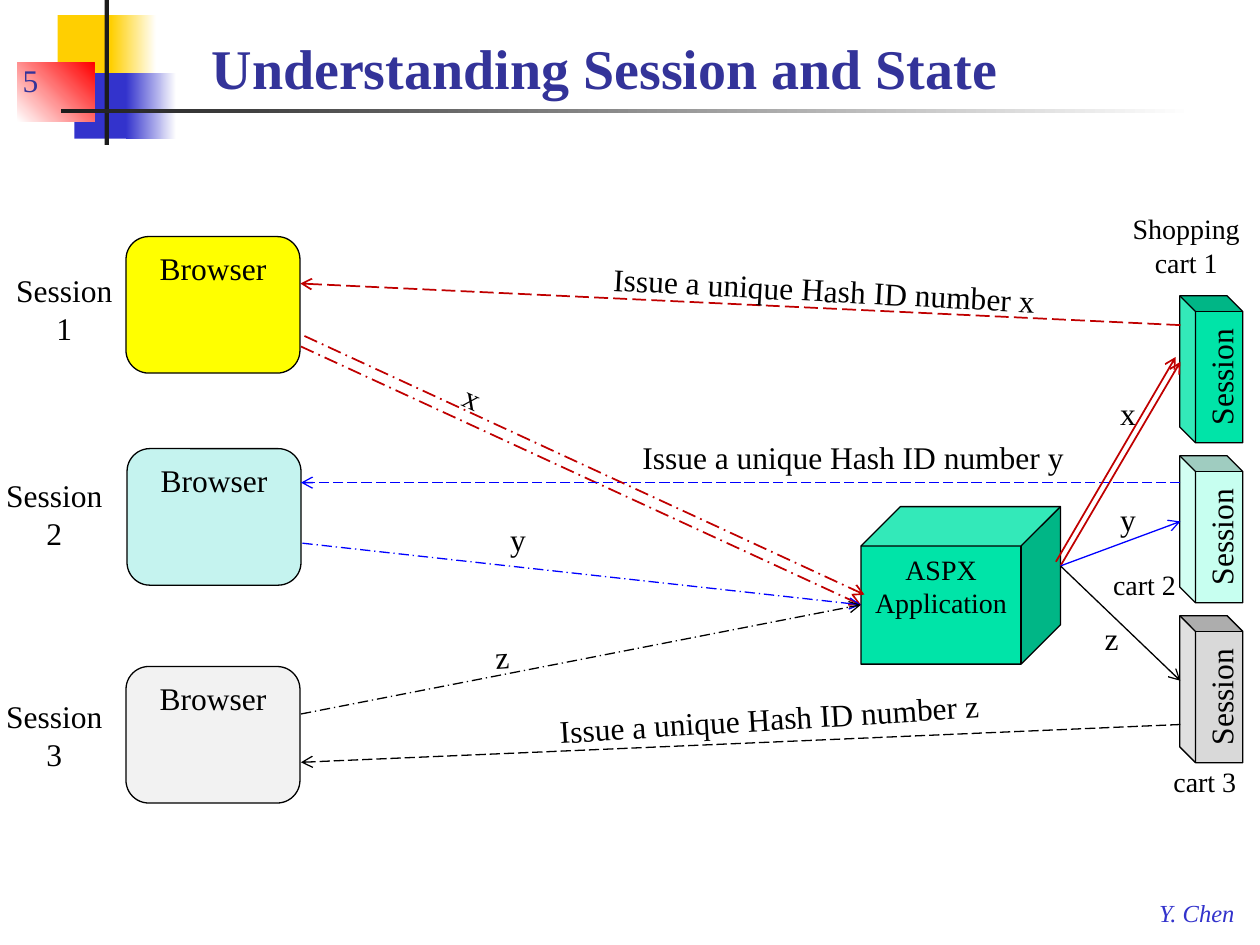
import pptx
import pptx.util
import pptx.dml.color
import pptx.enum.dml
import pptx.enum.shapes
import pptx.enum.text
import pptx.oxml
from pptx.oxml.ns import qn

Pt = pptx.util.Pt
SHAPE = pptx.enum.shapes.MSO_SHAPE
DASH = pptx.enum.dml.MSO_LINE
ALIGN = pptx.enum.text.PP_ALIGN
ANCHOR = pptx.enum.text.MSO_ANCHOR
AUTO = pptx.enum.text.MSO_AUTO_SIZE

FONT = "Times New Roman"
RED, BLUE, BLACK = "C00000", "0000FF", "000000"
WEIGHTS = {RED: 1, BLUE: 0.75, BLACK: 0.75}


def rgb(value):
    """Turn a hex string into a colour."""
    return pptx.dml.color.RGBColor.from_string(value)


def put_text(tf, text, size=18, color=BLACK, bold=False, italic=False,
             align=ALIGN.LEFT, anchor=ANCHOR.TOP, wrap=True, grow=False):
    """Write one formatted paragraph into a text frame."""
    tf.word_wrap = wrap
    tf.vertical_anchor = anchor
    tf.auto_size = AUTO.SHAPE_TO_FIT_TEXT if grow else AUTO.NONE
    p = tf.paragraphs[0]
    p.alignment = align
    r = p.add_run()
    r.text = text
    r.font.name = FONT
    r.font.size = Pt(size)
    r.font.bold = bold
    r.font.italic = italic
    r.font.color.rgb = rgb(color)


def add_label(s, box, text, rot=0, grow=True, **fmt):
    """Add a text box."""
    sp = s.shapes.add_textbox(*map(Pt, box))
    sp.rotation = rot
    put_text(sp.text_frame, text, grow=grow, **fmt)


def add_block(s, kind, box, fill, text, rot=0, size=18):
    """Add an outlined shape with centred text."""
    sp = s.shapes.add_shape(kind, *map(Pt, box))
    sp.shadow.inherit = False
    sp.rotation = rot
    sp.fill.solid()
    sp.fill.fore_color.rgb = rgb(fill)
    sp.line.color.rgb = rgb(BLACK)
    sp.line.width = Pt(0.75)
    put_text(sp.text_frame, text, size=size, align=ALIGN.CENTER)


def add_bar(s, box, *colors, angle=0):
    """Add a borderless rectangle, solid or with a two-colour gradient."""
    sp = s.shapes.add_shape(SHAPE.RECTANGLE, *map(Pt, box))
    sp.shadow.inherit = False
    sp.line.fill.background()
    if len(colors) == 1:
        sp.fill.solid()
        sp.fill.fore_color.rgb = rgb(colors[0])
        return
    sp.fill.gradient()
    sp.fill.gradient_angle = angle
    for stop, position, color in zip(sp.fill.gradient_stops, (0, 1), colors):
        stop.position = position
        stop.color.rgb = rgb(color)


def add_arrow(s, start, end, color, dash=None):
    """Add a straight line with an open arrowhead at its end."""
    cx = s.shapes.add_connector(pptx.enum.shapes.MSO_CONNECTOR.STRAIGHT,
                                *map(Pt, start + end))
    cx.line.color.rgb = rgb(color)
    cx.line.width = Pt(WEIGHTS[color])
    if dash:
        cx.line.dash_style = dash
    tail = pptx.oxml.parse_xml(
        '<a:tailEnd xmlns:a="http://schemas.openxmlformats.org/drawingml/2006/main"'
        ' type="arrow"/>')
    cx.line._get_or_add_ln().append(tail)
    sp_pr = cx._element.spPr
    sp_pr.append(sp_pr.makeelement(qn("a:effectLst"), {}))


def add_frame(s):
    """Add the corner decoration, title, slide number and author."""
    add_bar(s, (33, 8.6, 34.6, 37.4), "FFCF01")
    add_bar(s, (63.4, 8.6, 25.9, 37.4), "FFCF01", "FFFFFF")
    add_bar(s, (42.5, 41.8, 33.1, 37.4), "3333CC")
    add_bar(s, (72, 41.8, 28.8, 37.4), "3333CC", "FFFFFF")
    add_bar(s, (10, 36, 44, 33.5), "FFFFFF", "FF0000", angle=45)
    add_bar(s, (59.8, 0, 2.5, 82.8), "1C1C1C")
    add_bar(s, (34.6, 62.1, 648, 2.4), "1C1C1C", "FFFFFF")
    add_label(s, (655.2, 509.8, 59, 23.8), "Y. Chen", size=14,
              color="3333CC", italic=True, wrap=False)
    add_label(s, (113.8, 12.2, 600, 49), "Understanding Session and State",
              size=32, color="333399", bold=True, anchor=ANCHOR.BOTTOM, grow=False)
    add_label(s, (5.8, 23.8, 54, 36), "5", color="333399",
              anchor=ANCHOR.BOTTOM, grow=False)


def add_blocks(s):
    """Add the application, the session stores and the browsers."""
    add_block(s, SHAPE.CUBE, (492, 289.5, 114, 90), "00E4A8",
              "ASPX Application", size=16)
    for i, fill in enumerate(("00E4A8", "C7FFF0", "D9D9D9")):
        add_block(s, SHAPE.CUBE, (650.2, 193 + 91.4 * i, 84, 36), fill,
                  "Session", rot=270)
    for x, y, fill in ((72, 135.2, "FFFF00"), (72.6, 256.4, "C5F3EF"),
                       (72, 380.9, "F2F2F2")):
        add_block(s, SHAPE.ROUNDED_RECTANGLE, (x, y, 99.4, 78), fill, "Browser")


def add_flows(s):
    """Add the arrows between browsers, application and sessions."""
    app_in, app_out, store_x = (492, 345.6), (606, 323.4), 674.5
    flows = (  # colour, store y, reply start y, reply end, request start
        (RED, 206.8, 185.8, (171.6, 162), (172, 198)),
        (BLUE, 298, 275.8, (172, 275.8), (172.8, 310.4)),
        (BLACK, 389, 414, (172, 435.6), (172, 408)),
    )
    for color, store_y, reply_y, reply_end, request in flows:
        add_arrow(s, app_out, (store_x, store_y), color)
        add_arrow(s, (store_x, reply_y), reply_end, color, DASH.LONG_DASH)
        add_arrow(s, request, app_in, color, DASH.LONG_DASH_DOT)
    add_arrow(s, (174, 192), (494, 339.8), RED, DASH.LONG_DASH_DOT)
    add_arrow(s, (603.4, 321), (671.8, 204), RED)


def add_labels(s):
    """Add the wording beside the arrows, browsers and sessions."""
    for x, y, name, rot in ((343.4, 151.2, "x", 3), (360, 247, "y", 0),
                            (312.5, 396, "z", 356.5)):
        add_label(s, (x, y, 257.6, 29), f"Issue a unique Hash ID number {name}",
                  rot=rot, wrap=False)
    for x, y, w, name, rot, wrap in (
            (258.5, 213, 23.8, "x", 24.3, False), (633, 221.8, 33, "x", 0, True),
            (284.4, 293.8, 31.7, "y", 0, True), (633, 282.2, 31.7, "y", 0, True),
            (275.8, 360.7, 22.3, "z", 356.5, False),
            (624.2, 350, 31.7, "z", 0, True)):
        add_label(s, (x, y, w, 29), name, rot=rot, wrap=wrap)
    for i, (x, y) in enumerate(((0.7, 151.2), (-5, 268.6), (-5, 394.6)), 1):
        add_label(s, (x, y, 72, 51), f"Session {i}", align=ALIGN.CENTER)
    for box, text, align in (
            ((635.8, 117.4, 84, 46), "Shopping cart 1", ALIGN.CENTER),
            ((612, 321, 84, 26.6), "cart 2", ALIGN.CENTER),
            ((642.2, 433.4, 71.3, 26.6), "cart 3", ALIGN.RIGHT)):
        add_label(s, box, text, size=16, align=align)


def main():
    """Build the slide and save it."""
    prs = pptx.Presentation()
    prs.slide_width, prs.slide_height = Pt(720), Pt(540)
    s = prs.slides.add_slide(prs.slide_layouts[6])
    add_frame(s)
    add_blocks(s)
    add_flows(s)
    add_labels(s)
    prs.save("out.pptx")


main()
